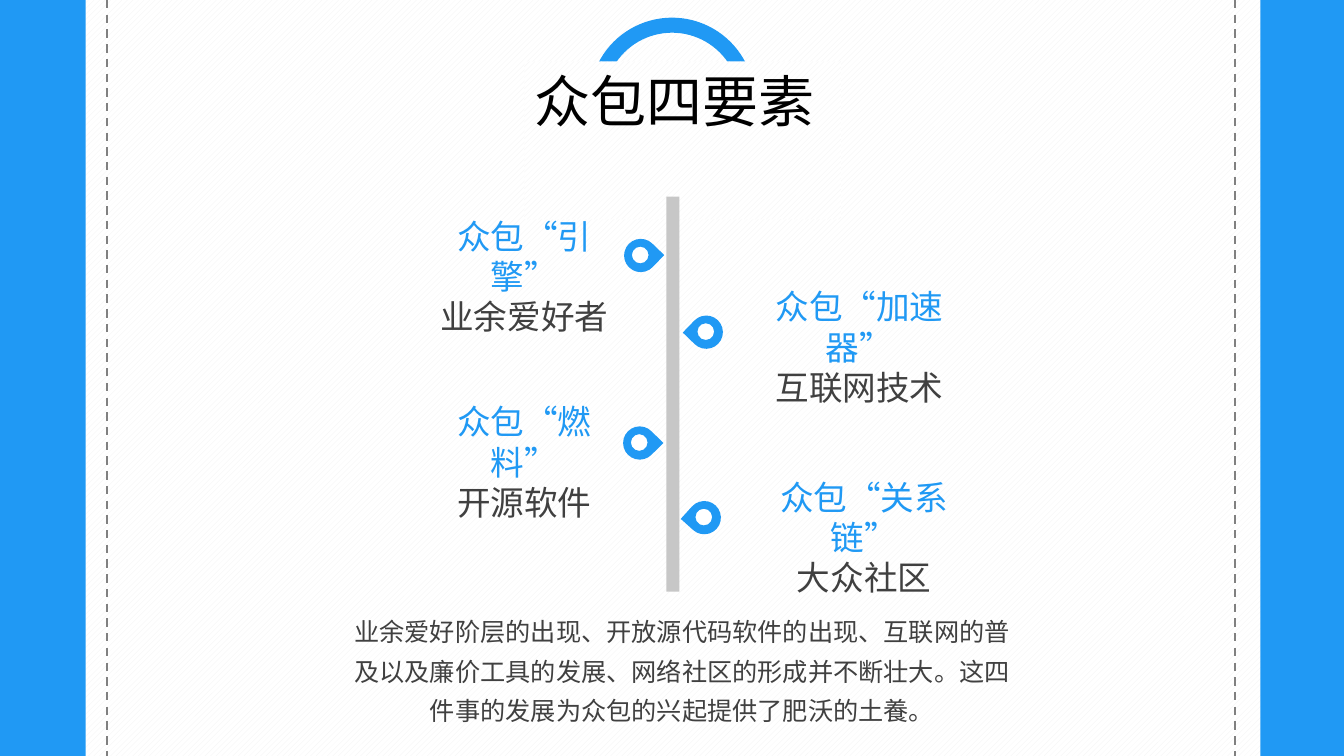
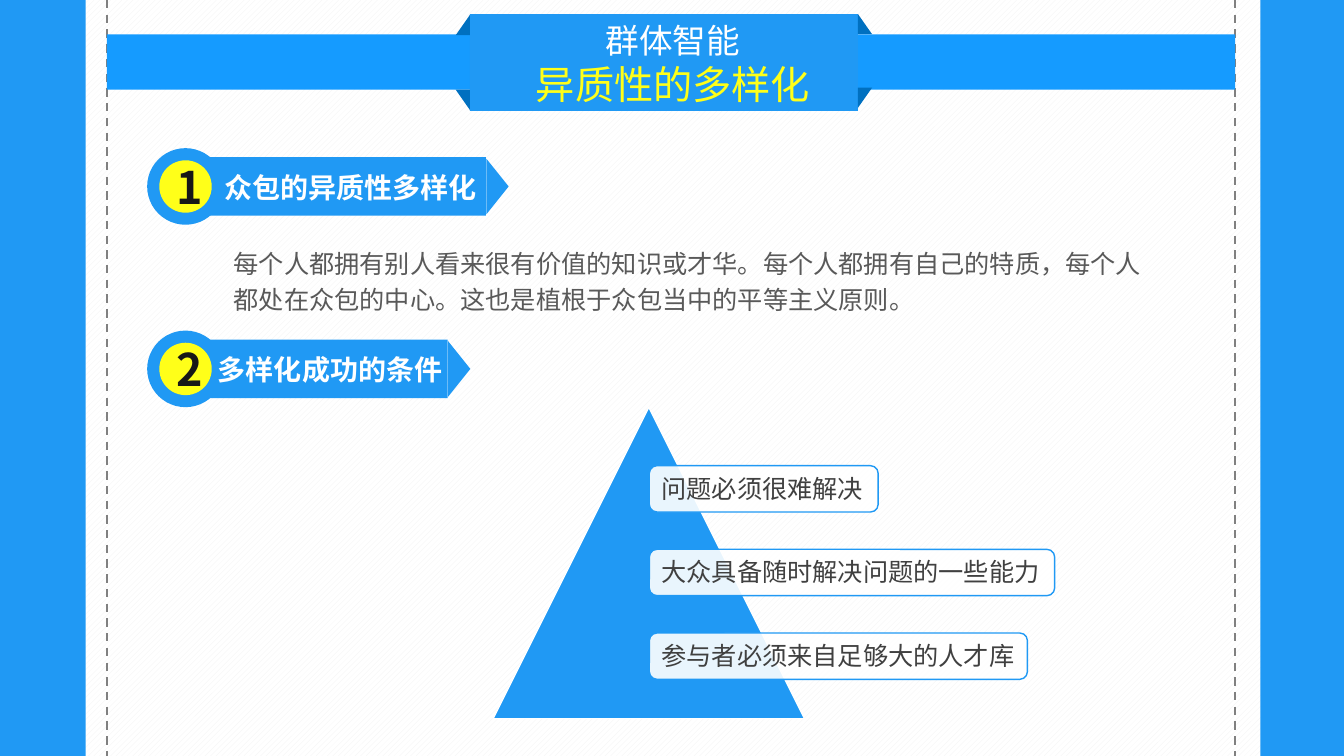
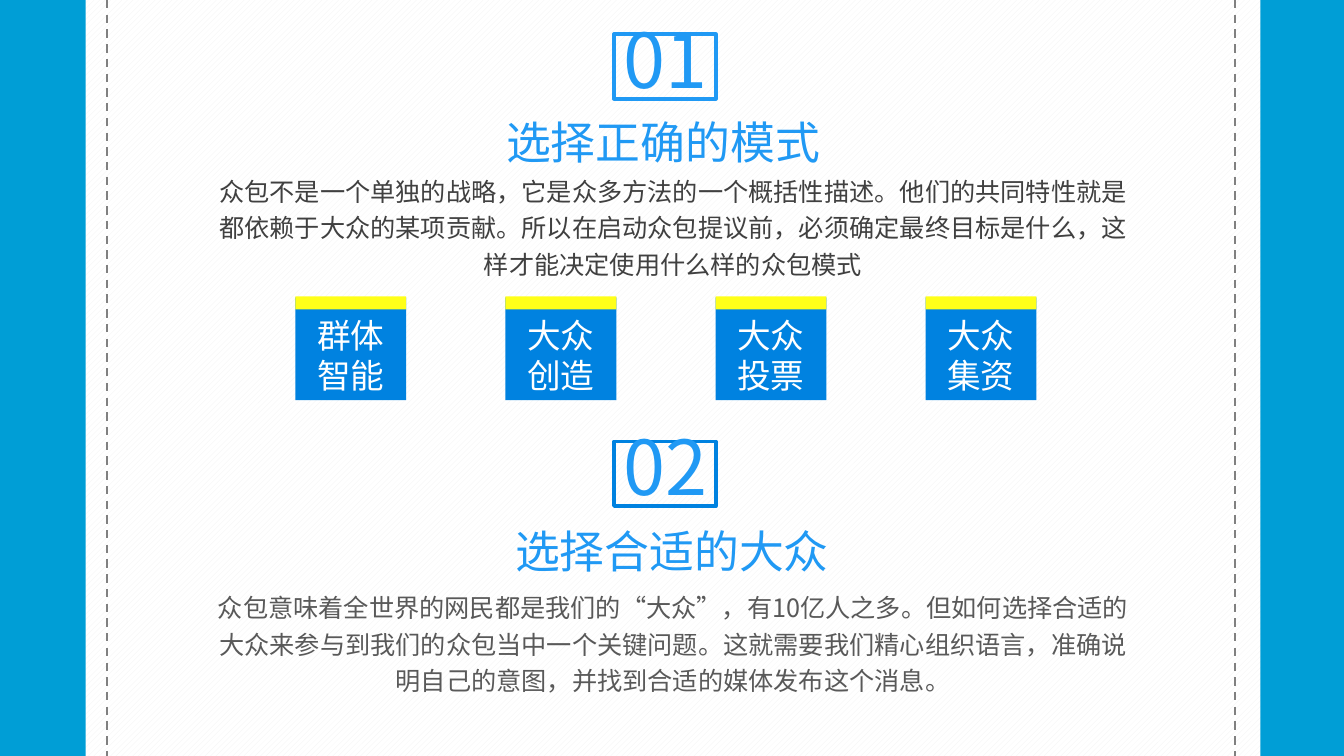
from lxml.etree import SubElement
from pptx import Presentation
from pptx.dml.color import RGBColor
from pptx.enum.dml import MSO_LINE, MSO_PATTERN
from pptx.enum.lang import MSO_LANGUAGE_ID
from pptx.enum.shapes import MSO_CONNECTOR, MSO_SHAPE
from pptx.enum.text import MSO_ANCHOR, MSO_AUTO_SIZE, PP_ALIGN
from pptx.oxml.ns import qn
from pptx.util import Inches, Pt

BLUE = RGBColor(0x20, 0x99, 0xF4)
BAND_BLUE = RGBColor(0x15, 0x9B, 0xFF)
FOLD_BLUE = RGBColor(0x00, 0x70, 0xC0)
TILE_BLUE = RGBColor(0x00, 0x82, 0xE0)
CYAN = RGBColor(0x00, 0x9E, 0xD6)
YELLOW = RGBColor(0xFF, 0xFF, 0x19)
WHITE = RGBColor(0xFF, 0xFF, 0xFF)
BLACK = RGBColor(0x00, 0x00, 0x00)
INK = RGBColor(0x18, 0x17, 0x17)
DARK = RGBColor(0x40, 0x40, 0x40)
SOFT = RGBColor(0x59, 0x59, 0x59)
GREY = RGBColor(0x80, 0x80, 0x80)
STEM_GREY = RGBColor(0xC7, 0xC7, 0xC7)
HATCH = RGBColor(0xF2, 0xF2, 0xF2)

FONT = "Noto Sans CJK SC"
LEFT, CENTER, JUSTIFY = PP_ALIGN.LEFT, PP_ALIGN.CENTER, PP_ALIGN.JUSTIFY
SLIDE_W, SLIDE_H = 13.33, 7.5
TITLE_ONLY = 5


def hatch(fill):
    fill.patterned()
    fill.pattern = MSO_PATTERN.WIDE_UPWARD_DIAGONAL
    fill.fore_color.rgb = HATCH
    fill.back_color.rgb = WHITE


def add_box(s, kind, x, y, w, h, fill=None, line=None, weight=1, rot=0):
    sp = s.shapes.add_shape(kind, Inches(x), Inches(y), Inches(w), Inches(h))
    sp.shadow.inherit = False
    sp.rotation = rot
    if fill is None:
        sp.fill.background()
    else:
        sp.fill.solid()
        sp.fill.fore_color.rgb = fill
    if line is None:
        sp.line.fill.background()
    else:
        sp.line.color.rgb = line
        sp.line.width = Pt(weight)
    return sp


def write(sp, lines, align=LEFT, spacing=None, anchor=MSO_ANCHOR.TOP, bold=False):
    """Fill a shape with paragraphs given as (text, size, colour)."""
    tf = sp.text_frame
    tf.word_wrap = True
    tf.vertical_anchor = anchor
    for i, (text, size, color) in enumerate(lines):
        p = tf.paragraphs[0] if i == 0 else tf.add_paragraph()
        p.alignment = align
        if spacing:
            p.line_spacing = spacing
        r = p.add_run()
        r.text = text
        r.font.size = Pt(size)
        r.font.bold = bold
        r.font.color.rgb = color
        r.font.language_id = MSO_LANGUAGE_ID.SIMPLIFIED_CHINESE
        r.font.name = FONT
        SubElement(r.font._element, qn("a:ea"), typeface=FONT)


def add_text(s, x, y, w, h, lines, **style):
    sp = s.shapes.add_textbox(Inches(x), Inches(y), Inches(w), Inches(h))
    write(sp, lines, **style)
    sp.text_frame.auto_size = MSO_AUTO_SIZE.SHAPE_TO_FIT_TEXT


def place_title(s, x, y, w, h, lines, **style):
    """Move the title placeholder into place, in front of what is drawn so far."""
    sp = s.shapes.title
    s.shapes.element.append(sp.element)
    sp.left, sp.top, sp.width, sp.height = map(Inches, (x, y, w, h))
    write(sp, lines, **style)
    sp.text_frame.auto_size = MSO_AUTO_SIZE.SHAPE_TO_FIT_TEXT
    return sp


def add_framed_slide(prs, band):
    """Add a hatched slide with side bands and dashed margins."""
    s = prs.slides.add_slide(prs.slide_layouts[TITLE_ONLY])
    hatch(s.background.fill)
    for x, w in ((0, 0.85), (12.5, SLIDE_W - 12.5)):
        add_box(s, MSO_SHAPE.RECTANGLE, x, 0, w, SLIDE_H, band)
    for x in (1.06, 12.25):
        ln = s.shapes.add_connector(
            MSO_CONNECTOR.STRAIGHT, Inches(x), 0, Inches(x), Inches(SLIDE_H))
        ln.line.color.rgb = GREY
        ln.line.width = Pt(1.5)
        ln.line.dash_style = MSO_LINE.DASH
        SubElement(ln.element.spPr, qn("a:effectLst"))
    return s


def add_pin(s, x, y, rot):
    add_box(s, MSO_SHAPE.TEAR, x, y, 0.33, 0.33, BLUE, rot=rot)
    add_box(s, MSO_SHAPE.OVAL, x + 0.07, y + 0.07, 0.18, 0.18, WHITE, BLUE)


def add_numbered_heading(s, x, y, number, text, bar_w, text_x):
    bar_x = x + 0.38
    tip_x = bar_x + bar_w
    add_box(s, MSO_SHAPE.RECTANGLE, bar_x, y + 0.09, bar_w, 0.58, BLUE)
    add_box(s, MSO_SHAPE.OVAL, x, y, 0.76, 0.76, BLUE)
    disc = add_box(s, MSO_SHAPE.OVAL, x + 0.12, y + 0.12, 0.52, 0.52, YELLOW)
    write(disc, [(number, 32, INK)], align=CENTER, anchor=MSO_ANCHOR.MIDDLE, bold=True)
    add_box(s, MSO_SHAPE.ISOSCELES_TRIANGLE, tip_x - 0.16, y + 0.27, 0.55, 0.22,
            BLUE, rot=90)
    add_text(s, x + text_x, y + 0.17, 2.83, 0.44, [(text, 20, WHITE)],
             align=CENTER, bold=True)


def add_ribbon_title(s, x, y, w, h, lines):
    add_box(s, MSO_SHAPE.RECTANGLE, 1.06, y + 0.2, 11.19, 0.55, BAND_BLUE)
    add_box(s, MSO_SHAPE.RECTANGLE, x, y, w, h, BLUE)
    folds = ((x + w, 0, ()), (x + w, 0.73, ("flipV",)),
             (x - 0.14, 0.01, ("flipH",)), (x - 0.14, 0.75, ("flipH", "flipV")))
    for fold_x, dy, flips in folds:
        fold = add_box(s, MSO_SHAPE.RIGHT_TRIANGLE, fold_x, y + dy, 0.14, 0.2, FOLD_BLUE)
        for flip in flips:
            fold.element.spPr.find(qn("a:xfrm")).set(flip, "1")
    place_title(s, x + 0.55, y + 0.01, 2.93, 0.98, lines, align=CENTER)


def add_condition(s, x, y, w, text):
    sp = add_box(s, MSO_SHAPE.ROUNDED_RECTANGLE, x, y, w, 0.46, WHITE, BLUE)
    color = sp.fill._xPr.find(qn("a:solidFill"))[0]
    SubElement(color, qn("a:alpha"), val="90000")
    write(sp, [(text, 18, DARK)])


def add_step_number(s, x, y, number, line):
    add_box(s, MSO_SHAPE.RECTANGLE, x, y, 1.01, 0.64, line=line, weight=2.75)
    add_text(s, x, y - 0.26, 1.16, 1.01, [(number, 54, BLUE)])


def add_mode_tile(s, x, y, text):
    tile = add_box(s, MSO_SHAPE.RECTANGLE, x, y, 1.1, 1.02, TILE_BLUE)
    tf = tile.text_frame
    tf.margin_left = tf.margin_right = Inches(0.16)
    tf.margin_top, tf.margin_bottom = Inches(0.17), 0
    write(tile, [(text, 24, WHITE)], align=CENTER)
    add_box(s, MSO_SHAPE.RECTANGLE, x, y - 0.01, 1.1, 0.13, YELLOW)


def build_elements(prs):
    s = add_framed_slide(prs, BLUE)
    add_box(s, MSO_SHAPE.OVAL, 5.92, 0.25, 1.49, 1.49, line=BLUE, weight=10.75)
    title = place_title(s, 5.2, 0.61, 3.14, 0.77, [("众包四要素", 40, BLACK)])
    hatch(title.fill)
    add_box(s, MSO_SHAPE.RECTANGLE, 6.61, 1.95, 0.13, 3.92, STEM_GREY)
    elements = (
        ((6.19, 2.37, 44), (4.21, 2.09, 1.98), "众包“引擎”", "业余爱好者"),
        ((6.84, 3.13, 224), (7.39, 2.79, 2.27), "众包“加速器”", "互联网技术"),
        ((6.18, 4.23, 45), (4.19, 3.93, 2.02), "众包“燃料”", "开源软件"),
        ((6.82, 4.97, 222), (7.42, 4.68, 2.3), "众包“关系链”", "大众社区"),
    )
    for pin, label, role, source in elements:
        add_pin(s, *pin)
        add_text(s, *label, 0.91, [(role, 24, BLUE), (source, 24, DARK)], align=CENTER)
    summary = ("业余爱好阶层的出现、开放源代码软件的出现、互联网的普及以及廉价工具的发展、"
               "网络社区的形成并不断壮大。这四件事的发展为众包的兴起提供了肥沃的土養。")
    add_text(s, 3.35, 5.98, 6.83, 1.28, [(summary, 18, DARK)], align=CENTER, spacing=1.3)


def build_diversity(prs):
    s = add_framed_slide(prs, BLUE)
    add_ribbon_title(s, 4.66, 0.14, 3.85, 0.96,
                     [("群体智能", 24, WHITE), ("异质性的多样化", 28, YELLOW)])
    add_numbered_heading(s, 1.46, 1.47, "1", "众包的异质性多样化", 2.98, 0.6)
    belief = ("每个人都拥有别人看来很有价值的知识或才华。每个人都拥有自己的特质，"
              "每个人都处在众包的中心。这也是植根于众包当中的平等主义原则。")
    add_text(s, 2.22, 2.35, 9.44, 0.83, [(belief, 18, SOFT)], spacing=1.2)
    add_numbered_heading(s, 1.46, 3.28, "2", "多样化成功的条件", 2.6, 0.4)
    add_box(s, MSO_SHAPE.ISOSCELES_TRIANGLE, 4.89, 4.04, 3.09, 3.09, BLUE, WHITE)
    conditions = (("问题必须很难解决", 2.27),
                  ("大众具备随时解决问题的一些能力", 4.02),
                  ("参与者必须来自足够大的人才库", 3.75))
    for i, (text, w) in enumerate(conditions):
        add_condition(s, 6.44, 4.62 + 0.83 * i, w, text)


def build_steps(prs):
    s = add_framed_slide(prs, CYAN)
    add_step_number(s, 6.09, 0.34, "01", BLUE)
    place_title(s, 4.92, 1.09, 3.52, 0.64, [("选择正确的模式", 32, BLUE)], align=JUSTIFY)
    mode = ("众包不是一个单独的战略，它是众多方法的一个概括性描述。他们的共同特性就是都依赖于"
            "大众的某项贡献。所以在启动众包提议前，必须确定最终目标是什么，"
            "这样才能决定使用什么样的众包模式")
    add_text(s, 2.06, 1.64, 9.23, 1.19, [(mode, 18, DARK)], align=CENTER, spacing=1.2)
    first_x, last_x = 2.93, 9.18
    modes = ("群体智能", "大众创造", "大众投票", "大众集资")
    pitch = (last_x - first_x) / (len(modes) - 1)
    for i, text in enumerate(modes):
        add_mode_tile(s, first_x + pitch * i, 2.95, text)
    add_step_number(s, 6.09, 4.38, "02", TILE_BLUE)
    add_text(s, 5.01, 5.15, 3.33, 0.64, [("选择合适的大众", 32, BLUE)], align=JUSTIFY)
    crowd = ("众包意味着全世界的网民都是我们的“大众”，有10亿人之多。但如何选择合适的大众来参与到"
             "我们的众包当中一个关键问题。这就需要我们精心组织语言，准确说明自己的意图，"
             "并找到合适的媒体发布这个消息。")
    add_text(s, 2.06, 5.77, 9.23, 1.19, [(crowd, 18, SOFT)], align=CENTER, spacing=1.2)


def main():
    prs = Presentation()
    prs.slide_width, prs.slide_height = Inches(SLIDE_W), Inches(SLIDE_H)
    build_elements(prs)
    build_diversity(prs)
    build_steps(prs)
    prs.save("out.pptx")


if __name__ == "__main__":
    main()
